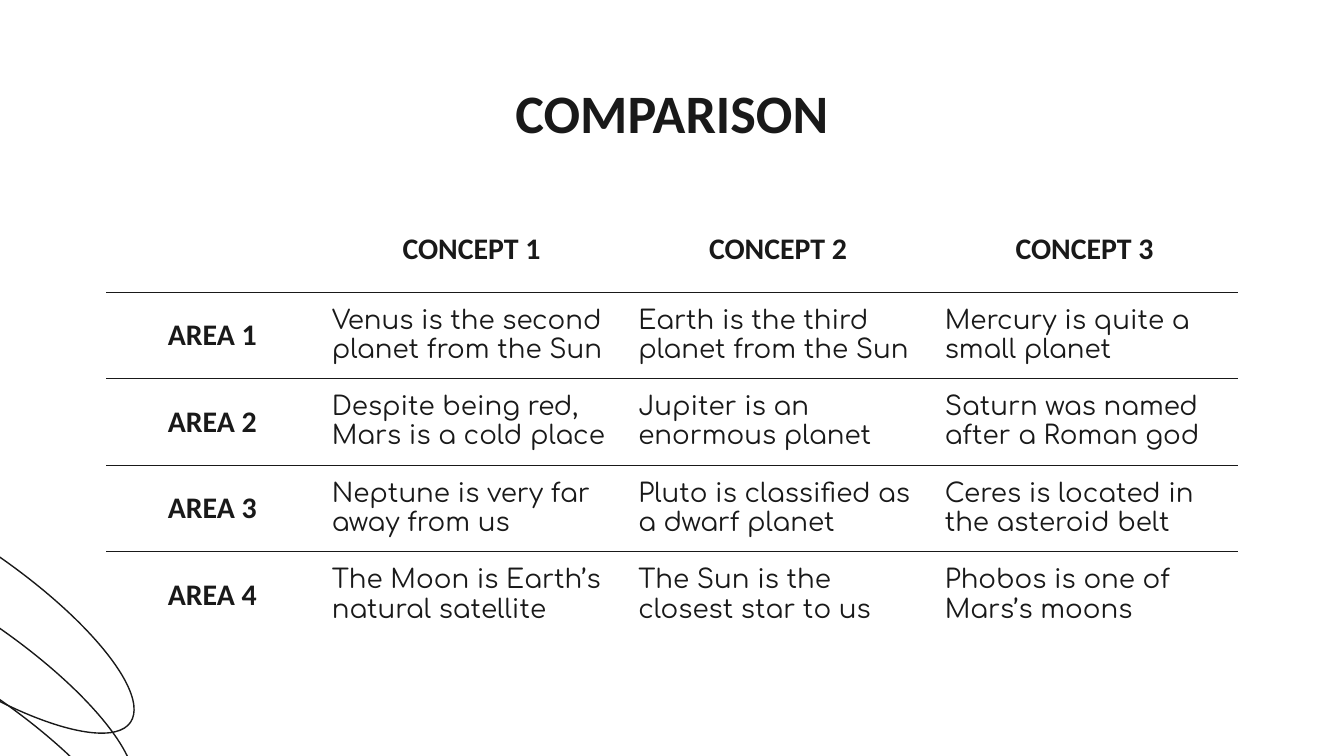
from lxml import etree
from pptx import Presentation, util as u
from pptx.dml import color
from pptx.enum import shapes, text
from pptx.oxml import ns

WIDTH = 10
HEIGHT = WIDTH * 9 / 16
MARGIN = 0.79
INK = "191919"
HEADING, BODY = "Calibri", "Comfortaa"
LINE_WIDTH = u.Pt(0.75)
INSET = u.Inches(0.1)

CONCEPTS = ["CONCEPT 1", "CONCEPT 2", "CONCEPT 3"]
AREAS = {
    "AREA 1": ["Venus is the second planet from the Sun",
               "Earth is the third planet from the Sun",
               "Mercury is quite a small planet"],
    "AREA 2": ["Despite being red, Mars is a cold place",
               "Jupiter is an enormous planet",
               "Saturn was named after a Roman god"],
    "AREA 3": ["Neptune is very far away from us",
               "Pluto is classified as a dwarf planet",
               "Ceres is located in the asteroid belt"],
    "AREA 4": ["The Moon is Earth’s natural satellite",
               "The Sun is the closest star to us",
               "Phobos is one of Mars’s moons"],
}


def rgb(value):
    return color.RGBColor.from_string(value)


def write(frame, words, size=14, font=BODY, bold=False, align=text.PP_ALIGN.LEFT):
    paragraph = frame.paragraphs[0]
    paragraph.alignment = align
    run = paragraph.add_run()
    run.text = words
    run.font.size = u.Pt(size)
    run.font.name = font
    run.font.bold = bold
    run.font.color.rgb = rgb(INK)


def set_insets(part):
    part.margin_left = part.margin_right = INSET
    part.margin_top = part.margin_bottom = INSET


def rule_cell(cell, ruled_sides):
    """Draw a thin line on the ruled sides and clear the other ones."""
    properties = cell._tc.get_or_add_tcPr()
    for side in "LRTB":
        border = etree.SubElement(properties, ns.qn("a:ln" + side), w=str(LINE_WIDTH))
        if side in ruled_sides:
            fill = etree.SubElement(border, ns.qn("a:solidFill"))
            etree.SubElement(fill, ns.qn("a:srgbClr"), val=INK)
        else:
            etree.SubElement(border, ns.qn("a:noFill"))


def add_ellipses(slide, left, top, width, height, count=3, step=0.53):
    """Stack tilted outlines upwards, starting from the lowest."""
    for index in range(count):
        ellipse = slide.shapes.add_shape(
            shapes.MSO_SHAPE.OVAL, u.Inches(left), u.Inches(top - index * step),
            u.Inches(width), u.Inches(height))
        ellipse.rotation = 34.4
        ellipse.shadow.inherit = False
        ellipse.fill.background()
        ellipse.line.color.rgb = rgb(INK)
        ellipse.line.width = LINE_WIDTH


def place_title(slide, left, top, width, height):
    title = slide.shapes.title
    title.left, title.top = u.Inches(left), u.Inches(top)
    title.width, title.height = u.Inches(width), u.Inches(height)
    frame = title.text_frame
    set_insets(frame)
    frame.word_wrap = True
    frame.auto_size = text.MSO_AUTO_SIZE.NONE
    frame.vertical_anchor = text.MSO_ANCHOR.TOP
    write(frame, "COMPARISON", size=29, font=HEADING, bold=True,
          align=text.PP_ALIGN.CENTER)


def add_comparison(slide, left, top, width, height, area_share=3 / 16):
    rows = [["", *CONCEPTS], *([area, *facts] for area, facts in AREAS.items())]
    last = len(rows) - 1
    table = slide.shapes.add_table(
        len(rows), len(rows[0]), u.Inches(left), u.Inches(top),
        u.Inches(width), u.Inches(height)).table
    table.first_row = table.horz_banding = False

    concept_width = width * (1 - area_share) / len(CONCEPTS)
    for index, column in enumerate(table.columns):
        column.width = u.Inches(concept_width if index else width * area_share)

    for r, row in enumerate(rows):
        for c, words in enumerate(row):
            cell = table.cell(r, c)
            set_insets(cell)
            cell.vertical_anchor = text.MSO_ANCHOR.MIDDLE
            rule_cell(cell, ("T" if r > 0 else "") + ("B" if r < last else ""))
            cell.fill.background()
            if r == 0 or c == 0:
                if words:
                    write(cell.text_frame, words, size=16, font=HEADING, bold=True,
                          align=text.PP_ALIGN.CENTER)
            else:
                write(cell.text_frame, words)


def main():
    deck = Presentation()
    deck.slide_width, deck.slide_height = u.Inches(WIDTH), u.Inches(HEIGHT)
    slide = deck.slides.add_slide(deck.slide_layouts[5])
    content_width = WIDTH - 2 * MARGIN
    add_ellipses(slide, -1.84, 5.1, 3.08, 0.93)
    place_title(slide, MARGIN, 0.49, content_width, 0.63)
    add_comparison(slide, MARGIN, 1.53, content_width, 3.22)
    deck.save("out.pptx")


if __name__ == "__main__":
    main()
